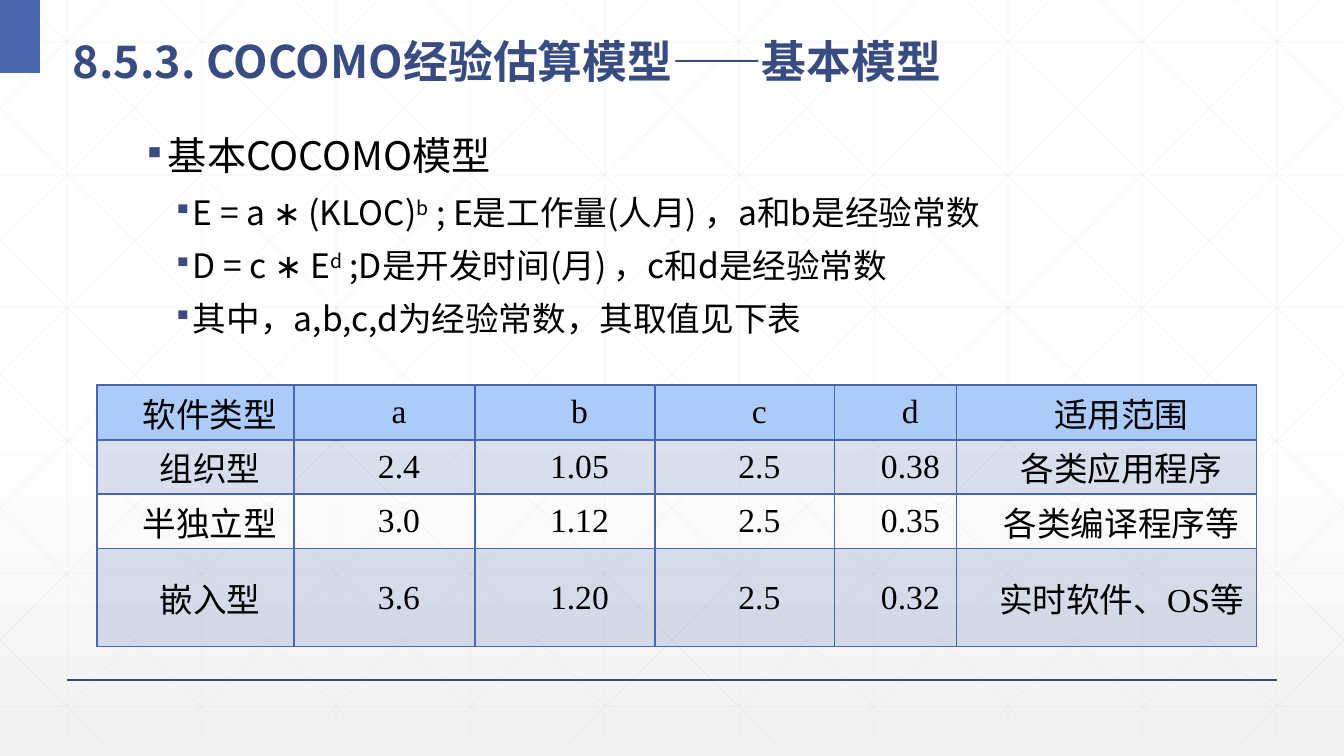
from dataclasses import dataclass

import lxml.etree
import pptx
import pptx.dml.color
import pptx.enum.shapes
import pptx.enum.text
import pptx.oxml
import pptx.oxml.ns
import pptx.util
from copy import deepcopy

EMU_PER_PX = 914400 / 100.8
WIDTH, HEIGHT = 1344, 756
GRID_HEIGHT = 743
COLORS = {
    "navy": "384C81", "blue": "4A66AC", "sky": "ACCBF9", "grid": "D9D9D9",
    "black": "000000", "white": "FFFFFF", "mist": "F2F2F2",
}
SANS = "Noto Sans CJK SC"
SERIF = "Times New Roman"


@dataclass
class Line:
    x1: int
    y1: int
    x2: int
    y2: int


@dataclass
class Bullet:
    runs: list[str]  # every second run is superscript
    size: int
    margin: int
    hang: int
    space_before: int


BULLETS = [
    Bullet(["基本COCOMO模型"], 28, 25, 25, 0),
    *(Bullet(runs, 24, 50, 20, 12) for runs in (
        ["E = a ∗ (KLOC)", "b", " ; E是工作量(人月) ，a和b是经验常数"],
        ["D = c ∗ E", "d", " ;D是开发时间(月) ，c和d是经验常数"],
        ["其中，a,b,c,d为经验常数，其取值见下表"],
    )),
]
TABLE_ROWS = [
    ["软件类型", "a", "b", "c", "d", "适用范围"],
    ["组织型", "2.4", "1.05", "2.5", "0.38", "各类应用程序"],
    ["半独立型", "3.0", "1.12", "2.5", "0.35", "各类编译程序等"],
    ["嵌入型", "3.6", "1.20", "2.5", "0.32", "实时软件、OS等"],
]
COLUMN_WIDTHS = [197, 181, 180, 180, 122, 300]
ROW_HEIGHTS = [55, 54, 55, 98]


def px(length: float) -> pptx.util.Emu:
    return pptx.util.Emu(round(length * EMU_PER_PX))


def rgb(color: str) -> pptx.dml.color.RGBColor:
    return pptx.dml.color.RGBColor.from_string(COLORS[color])


def add_child(parent, tag: str, **attributes: str):
    return lxml.etree.SubElement(parent, pptx.oxml.ns.qn(tag), attributes)


def set_alpha(fill_parent, percent: int) -> None:
    """Make the solid colour inside an element partly transparent."""
    color = next(fill_parent.iter(pptx.oxml.ns.qn("a:srgbClr")))
    add_child(color, "a:alpha", val=str(percent * 1000))


def set_font(paragraph, name: str, size: int, color: str, bold: bool = False) -> None:
    font = paragraph.font
    font.name, font.size, font.bold = name, pptx.util.Pt(size), bold
    font.color.rgb = rgb(color)
    add_child(paragraph._p.pPr.find(pptx.oxml.ns.qn("a:defRPr")), "a:ea", typeface=SANS)


def set_indent(paragraph, margin: int, first_line: int) -> None:
    properties = paragraph._p.get_or_add_pPr()
    properties.set("marL", str(px(margin)))
    properties.set("indent", str(px(first_line)))


def paint_background(slide) -> None:
    fill = slide.background.fill
    fill.gradient()
    fill.gradient_angle = 270
    first = fill._fill._gradFill.gsLst[0]
    first.addnext(deepcopy(first))
    for stop, position, color in zip(fill.gradient_stops, (0, 0.53, 1), ("white", "white", "mist")):
        stop.position = position
        stop.color.rgb = rgb(color)


def add_line(slide, line: Line, color: str, width: float, alpha: int = 100) -> None:
    connector = slide.shapes.add_connector(
        pptx.enum.shapes.MSO_CONNECTOR.STRAIGHT,
        px(line.x1), px(line.y1), px(line.x2), px(line.y2))
    connector.line.color.rgb = rgb(color)
    connector.line.width = pptx.util.Pt(width)
    if alpha < 100:
        set_alpha(connector.line._ln, alpha)
    add_child(connector._element.spPr, "a:effectLst")


def grid_lines() -> list[Line]:
    """Upright grid plus diagonals cut at the slide edges and their mirror images."""
    step, run = WIDTH / 10, 751
    columns = [round(step * (i + 0.5)) for i in range(10)]
    rows = [round(42 + 132.7 * i) for i in range(6)]
    lines = [Line(x, 0, x, GRID_HEIGHT) for x in columns]
    lines += [Line(0, y, WIDTH, y) for y in rows]
    for i in range(-5, 10):
        start = round(25 + step * i)
        x1, x2 = max(start, 0), min(start + run, WIDTH)
        y1, y2 = (round((x - start) * GRID_HEIGHT / run) for x in (x1, x2))
        lines += [Line(x1, y1, x2, y2), Line(WIDTH - x1, y1, WIDTH - x2, y2)]
    return lines


def add_text_frame(slide, left: int, top: int, width: int, height: int):
    frame = slide.shapes.add_textbox(px(left), px(top), px(width), px(height)).text_frame
    frame.word_wrap = True
    return frame


def add_title(slide, text: str) -> None:
    frame = add_text_frame(slide, 63, 16, 1223, 74)
    frame.vertical_anchor = pptx.enum.text.MSO_ANCHOR.MIDDLE
    paragraph = frame.paragraphs[0]
    paragraph.text = text
    paragraph.line_spacing = 1.3
    set_font(paragraph, SANS, 32, "navy", bold=True)


def add_bullet(paragraph, bullet: Bullet) -> None:
    for i, text in enumerate(bullet.runs):
        run = paragraph.add_run()
        run.text = text
        if i % 2:
            run._r.get_or_add_rPr().set("baseline", "30000")
    paragraph.line_spacing = 0.9
    paragraph.space_before = pptx.util.Pt(bullet.space_before)
    set_indent(paragraph, bullet.margin, -bullet.hang)
    properties = paragraph._p.pPr
    add_child(add_child(properties, "a:buClr"), "a:srgbClr", val=COLORS["navy"])
    add_child(properties, "a:buSzPct", val="80000")
    add_child(properties, "a:buChar", char="▪")
    set_font(paragraph, SANS, bullet.size, "black")


def set_borders(cell, top: int, bottom: int) -> None:
    properties = cell._tc.get_or_add_tcPr()
    for i, (side, width) in enumerate((("L", 1), ("R", 1), ("T", top), ("B", bottom))):
        border = add_child(properties, f"a:ln{side}", w=str(pptx.util.Pt(width)))
        add_child(add_child(border, "a:solidFill"), "a:srgbClr", val=COLORS["blue"])
        properties.insert(i, border)


def fill_cell(cell, text: str, row: int) -> None:
    cell.margin_left = cell.margin_right = px(7)
    cell.margin_top = cell.margin_bottom = 0
    cell.vertical_anchor = pptx.enum.text.MSO_ANCHOR.MIDDLE
    paragraph = cell.text_frame.paragraphs[0]
    paragraph.text = text
    paragraph.alignment = pptx.enum.text.PP_ALIGN.CENTER
    set_indent(paragraph, 0, 29)
    set_font(paragraph, SERIF, 24, "black")
    if row == 2:
        cell.fill.background()
    else:
        cell.fill.solid()
        cell.fill.fore_color.rgb = rgb("blue" if row else "sky")
        if row:
            set_alpha(cell._tc.tcPr, 20)
    set_borders(cell, top=2 if row == 1 else 1, bottom=1 if row else 2)


def add_parameter_table(slide) -> None:
    table = slide.shapes.add_table(
        len(TABLE_ROWS), len(COLUMN_WIDTHS), px(97), px(385),
        px(sum(COLUMN_WIDTHS)), px(sum(ROW_HEIGHTS))).table
    table.first_row = table.horz_banding = False
    for column, width in zip(table.columns, COLUMN_WIDTHS):
        column.width = px(width)
    for i, texts in enumerate(TABLE_ROWS):
        table.rows[i].height = px(ROW_HEIGHTS[i])
        for j, text in enumerate(texts):
            fill_cell(table.cell(i, j), text, i)


def main() -> None:
    presentation = pptx.Presentation()
    presentation.slide_width, presentation.slide_height = px(WIDTH), px(HEIGHT)
    slide = presentation.slides.add_slide(presentation.slide_layouts[6])
    paint_background(slide)
    for line in grid_lines():
        add_line(slide, line, "grid", 0.5, alpha=25)
    add_line(slide, Line(67, 680, 1277, 680), "navy", 1)
    corner = slide.shapes.add_shape(
        pptx.enum.shapes.MSO_SHAPE.RECTANGLE, 0, 0, px(40), px(73))
    corner.shadow.inherit = False
    corner.fill.solid()
    corner.fill.fore_color.rgb = rgb("blue")
    corner.line.fill.background()
    add_title(slide, "8.5.3. COCOMO经验估算模型——基本模型")
    body = add_text_frame(slide, 138, 132, 1058, 239)
    body.margin_left = px(5)
    for i, bullet in enumerate(BULLETS):
        add_bullet(body.add_paragraph() if i else body.paragraphs[0], bullet)
    add_parameter_table(slide)
    presentation.save("out.pptx")


if __name__ == "__main__":
    main()
